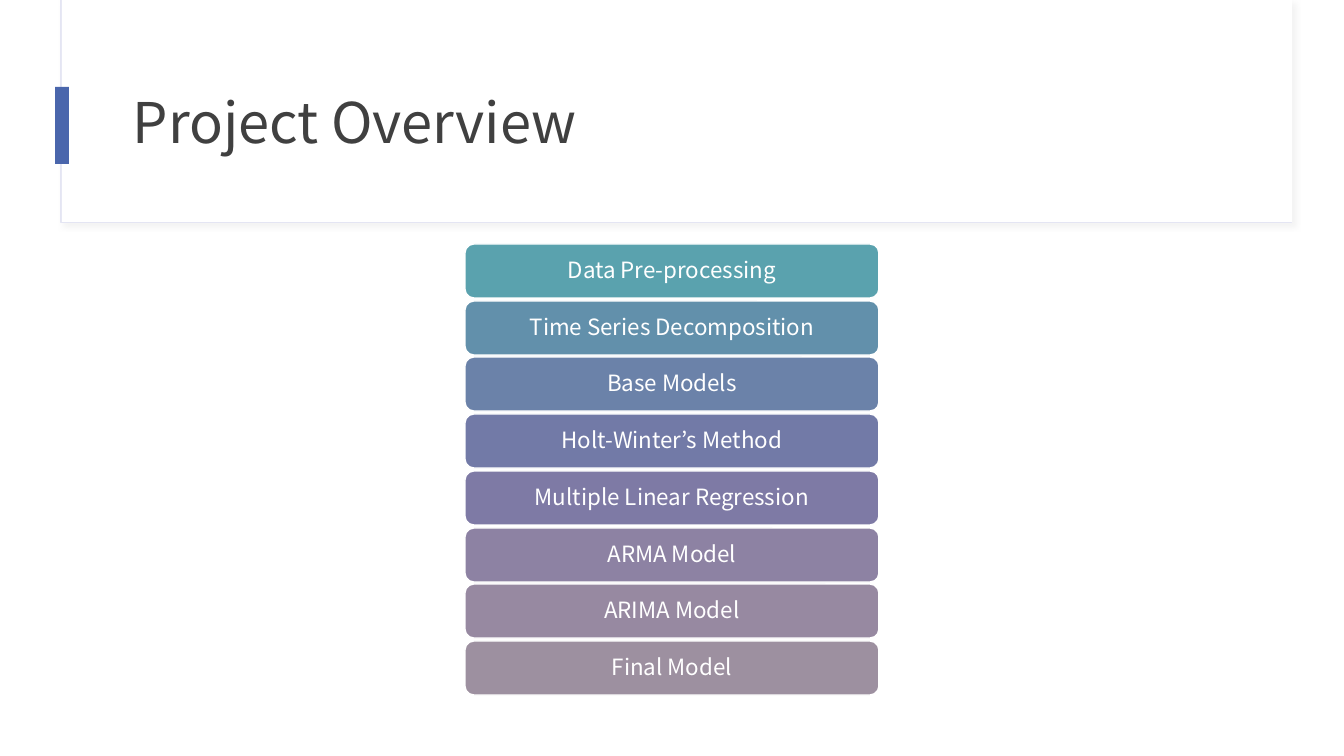
from lxml import etree
from pptx import Presentation
from pptx import util as u
from pptx.dml.color import RGBColor
from pptx.enum import shapes, text
from pptx.oxml.ns import qn

COLORS = {"white": "FFFFFF", "frame": "E4E5F3", "shadow": "D9D9D9",
          "accent": "4A66AC", "title": "404040"}
STEPS = {
    "Data Pre-processing": "5AA2AE",
    "Time Series Decomposition": "6290AB",
    "Base Models": "6B82A9",
    "Holt-Winter’s Method": "727AA7",
    "Multiple Linear Regression": "7E7AA5",
    "ARMA Model": "8D82A3",
    "ARIMA Model": "9789A1",
    "Final Model": "9D90A0",
}
SLIDE_W, SLIDE_H = 1344, 756
FIRST_TOP, LAST_TOP = 244, 641


def px(n):
    return u.Emu(round(n * 914400 / 100.8))


class Deck:
    """Style and current slide."""
    font = "Noto Sans CJK JP"

    def __init__(self):
        self.prs = Presentation()
        self.prs.slide_width, self.prs.slide_height = px(SLIDE_W), px(SLIDE_H)
        self.slide = self.prs.slides.add_slide(self.prs.slide_layouts[6])

    def box(self, kind, bounds, fill, line=None, width=1):
        block = self.slide.shapes.add_shape(kind, *map(px, bounds))
        block.shadow.inherit = False
        block.fill.solid()
        block.fill.fore_color.rgb = RGBColor.from_string(fill)
        if line:
            block.line.color.rgb = RGBColor.from_string(line)
            block.line.width = u.Pt(width)
        else:
            block.line.fill.background()
        return block

    def soft_shadow(self, block):
        effects = block.element.spPr.find(qn("a:effectLst"))
        outer = etree.SubElement(effects, qn("a:outerShdw"), blurRad="50800",
                                 dist="38100", dir="2700000", algn="tl", rotWithShape="0")
        color = etree.SubElement(outer, qn("a:srgbClr"), val=COLORS["shadow"])
        etree.SubElement(color, qn("a:alpha"), val="30000")

    def label(self, holder, words, size, color, align, after=0, **frame_format):
        frame = holder.text_frame
        frame_format = {"word_wrap": True, "vertical_anchor": text.MSO_ANCHOR.MIDDLE,
                        **frame_format}
        line = frame.paragraphs[0]
        run = line.add_run()
        run.text = words
        formats = (
            (frame, frame_format),
            (line, {"alignment": align, "line_spacing": 0.9, "space_after": u.Pt(after)}),
            (run.font, {"name": self.font, "size": u.Pt(size)}),
        )
        for target, values in formats:
            for key, value in values.items():
                setattr(target, key, value)
        run.font.color.rgb = RGBColor.from_string(color)

    def title(self, words, bounds):
        heading = self.slide.shapes.add_textbox(*map(px, bounds))
        self.label(heading, words, 40, COLORS["title"], text.PP_ALIGN.LEFT)

    def step(self, words, top, fill):
        bar = self.box(shapes.MSO_SHAPE.ROUNDED_RECTANGLE, (465, top, 414, 54),
                       fill, COLORS["white"])
        self.label(bar, words, 16, COLORS["white"], text.PP_ALIGN.CENTER, after=5.6,
                   margin_left=px(7), margin_right=px(7),
                   margin_top=px(3), margin_bottom=px(3))


def main():
    deck = Deck()
    rect = shapes.MSO_SHAPE.RECTANGLE

    # Title panel with accent mark
    frame = deck.box(rect, (61, 0, 1231, 223), COLORS["white"], COLORS["frame"], 0.75)
    deck.soft_shadow(frame)
    deck.box(rect, (62, 0, 1230, 222), COLORS["white"])
    deck.box(rect, (55, 87, 14, 77), COLORS["accent"])
    deck.title("Project Overview", (123, 60, 1121, 130))

    # Stack of project steps, evenly spaced
    for i, (words, fill) in enumerate(STEPS.items()):
        top = FIRST_TOP + round(i * (LAST_TOP - FIRST_TOP) / (len(STEPS) - 1))
        deck.step(words, top, fill)

    deck.prs.save("out.pptx")


if __name__ == "__main__":
    main()
